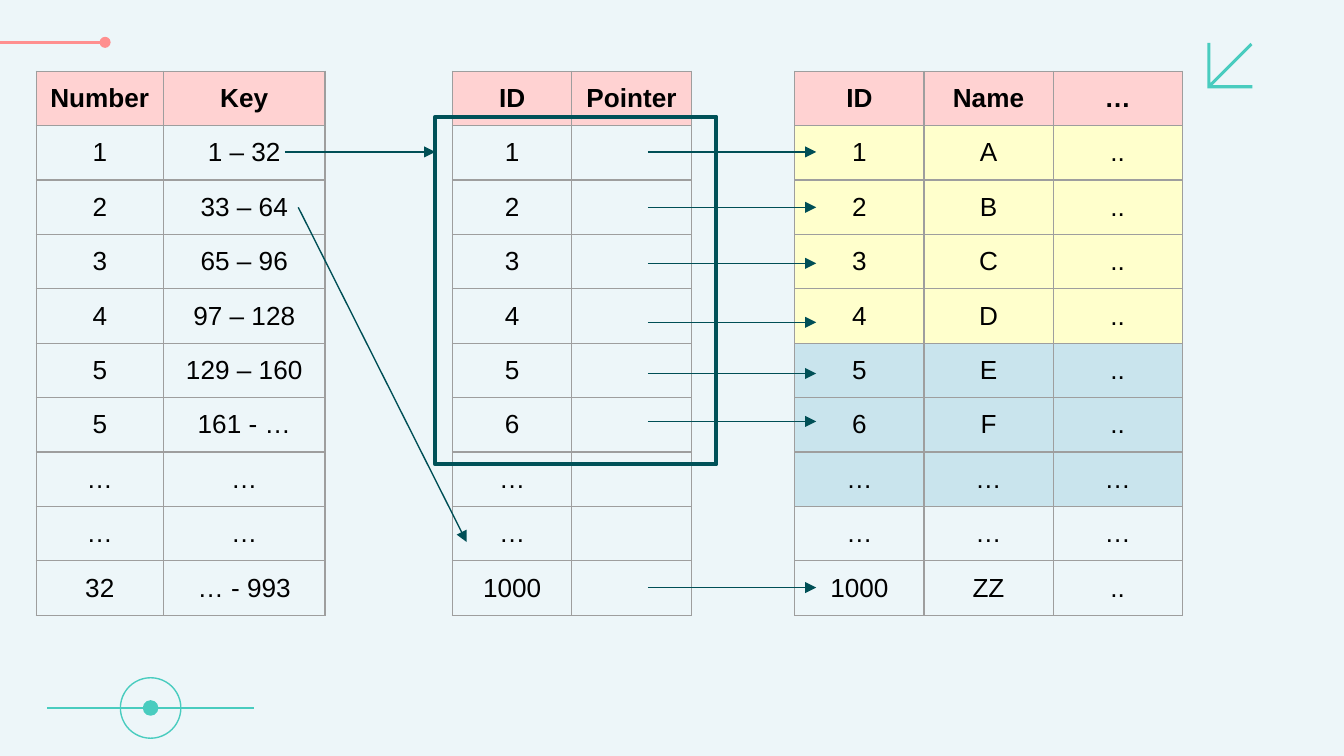
"""Build a slide of a two-level index: key ranges, pointers and records."""
from lxml.etree import SubElement
from pptx import Presentation
from pptx.dml.color import RGBColor
from pptx.enum.shapes import MSO_CONNECTOR as CONNECTOR, MSO_SHAPE as SHAPE
from pptx.enum.text import MSO_ANCHOR as ANCHOR, PP_ALIGN as ALIGN
from pptx.oxml import parse_xml
from pptx.oxml.ns import nsdecls, qn
from pptx.util import Pt

PALE = RGBColor(0xED, 0xF6, 0xF9)
TEAL = RGBColor(0x49, 0xCC, 0xBF)
CORAL = RGBColor(0xFF, 0x8F, 0x8F)
PINK = RGBColor(0xFF, 0xD2, 0xD2)
YELLOW = RGBColor(0xFF, 0xFF, 0xCC)
BLUE = RGBColor(0xC9, 0xE4, 0xED)
DARK = RGBColor(0x00, 0x4F, 0x56)
FRAME = RGBColor(0x00, 0x51, 0x58)
BLACK = RGBColor(0, 0, 0)
GREY = "9E9E9E"
TOP, ROW_HEIGHT = 38.16, 29.16


def add_line(start, end, color, width, tail=None):
    line = slide.shapes.add_connector(CONNECTOR.STRAIGHT, *map(Pt, start + end))
    line.line.color.rgb = color
    line.line.width = Pt(width)
    if tail:
        SubElement(line.line._get_or_add_ln(), qn("a:tailEnd"), type=tail)
    SubElement(line._element.spPr, qn("a:effectLst"))


def add_grid(left, widths, rows, fills):
    table = slide.shapes.add_table(len(rows), len(widths), Pt(left), Pt(TOP),
                                   Pt(sum(widths)), Pt(ROW_HEIGHT * len(rows))).table
    table.first_row = table.horz_banding = False
    for column, width in zip(table.columns, widths):
        column.width = Pt(width)
    for r, values in enumerate(rows):
        table.rows[r].height = Pt(ROW_HEIGHT)
        for c, value in enumerate(values):
            cell = table.cell(r, c)
            cell.vertical_anchor = ANCHOR.MIDDLE
            if r in fills:
                cell.fill.solid()
                cell.fill.fore_color.rgb = fills[r]
            else:
                cell.fill.background()
            paragraph = cell.text_frame.paragraphs[0]
            paragraph.text = value
            paragraph.alignment = ALIGN.CENTER
            paragraph.font.size = Pt(14)
            for run in paragraph.runs:
                run.font.name = "Arial"
                run.font.size = Pt(14)
                run.font.bold = r == 0
                run.font.color.rgb = BLACK
            for i, side in enumerate("LRTB"):
                cell._tc.tcPr.insert(i, parse_xml(
                    f'<a:ln{side} {nsdecls("a")} w="9525"><a:solidFill>'
                    f'<a:srgbClr val="{GREY}"/></a:solidFill></a:ln{side}>'))


prs = Presentation()
prs.slide_width, prs.slide_height = Pt(720), Pt(405)
slide = prs.slides.add_slide(prs.slide_layouts[6])
slide.background.fill.solid()
slide.background.fill.fore_color.rgb = PALE

add_line((25.2, 379.3), (136.3, 379.3), TEAL, 0.75)
for radius, filled in ((16.2, False), (3.8, True)):
    target = slide.shapes.add_shape(SHAPE.OVAL, Pt(80.7 - radius), Pt(379.3 - radius),
                                    Pt(2 * radius), Pt(2 * radius))
    target.shadow.inherit = False
    target.line.color.rgb = TEAL
    target.line.width = Pt(0.75)
    if filled:
        target.fill.solid()
        target.fill.fore_color.rgb = TEAL
    else:
        target.fill.background()

add_line((0, 22.7), (56.3, 22.7), CORAL, 1.5, "oval")

corner_points = [(671, 47.3), (671, 45.6), (649.6, 45.6), (671, 24.2), (670, 23),
                 (648.5, 44.5), (648.5, 23), (646.9, 23), (646.9, 47.3)]
outline = slide.shapes.build_freeform(Pt(corner_points[0][0]), Pt(corner_points[0][1]))
outline.add_line_segments([(Pt(x), Pt(y)) for x, y in corner_points[1:]], close=True)
corner_arrow = outline.convert_to_shape()
corner_arrow.shadow.inherit = False
corner_arrow.fill.solid()
corner_arrow.fill.fore_color.rgb = TEAL
corner_arrow.line.fill.background()

records = [("ID", "Name", "…")]
records += [(str(n), name, "..") for n, name in enumerate("ABCDEF", 1)]
records += [("…", "…", "…")] * 2 + [("1000", "ZZ", "..")]
record_fills = {0: PINK, **dict.fromkeys(range(1, 5), YELLOW),
                **dict.fromkeys(range(5, 8), BLUE)}
add_grid(425.8, [69.2] * 3, records, record_fills)

pointers = [("ID", "Pointer")] + [(record[0], "") for record in records[1:]]
add_grid(242.4, [64] * 2, pointers, {0: PINK})

for y in (81.4, 111.1, 141.1, 172.7, 200.1, 225.8, 314.8):
    add_line((347.1, y), (437.3, y), DARK, 0.75, "triangle")

keys = [("Number", "Key"), ("1", "1 – 32"), ("2", "33 – 64"), ("3", "65 – 96"),
        ("4", "97 – 128"), ("5", "129 – 160"), ("5", "161 - …"),
        ("…", "…"), ("…", "…"), ("32", "… - 993")]
add_grid(19.4, [68.2, 86.6], keys, {0: PINK})

add_line((152.6, 81.4), (233.2, 81.4), DARK, 0.75, "triangle")
add_line((159.8, 111.1), (250, 290.4), DARK, 0.75, "triangle")

block = slide.shapes.add_shape(SHAPE.RECTANGLE, Pt(233.2), Pt(62.6), Pt(150.6), Pt(186.2))
block.shadow.inherit = False
block.fill.background()
block.line.color.rgb = FRAME
block.line.width = Pt(2.25)

prs.save("out.pptx")
